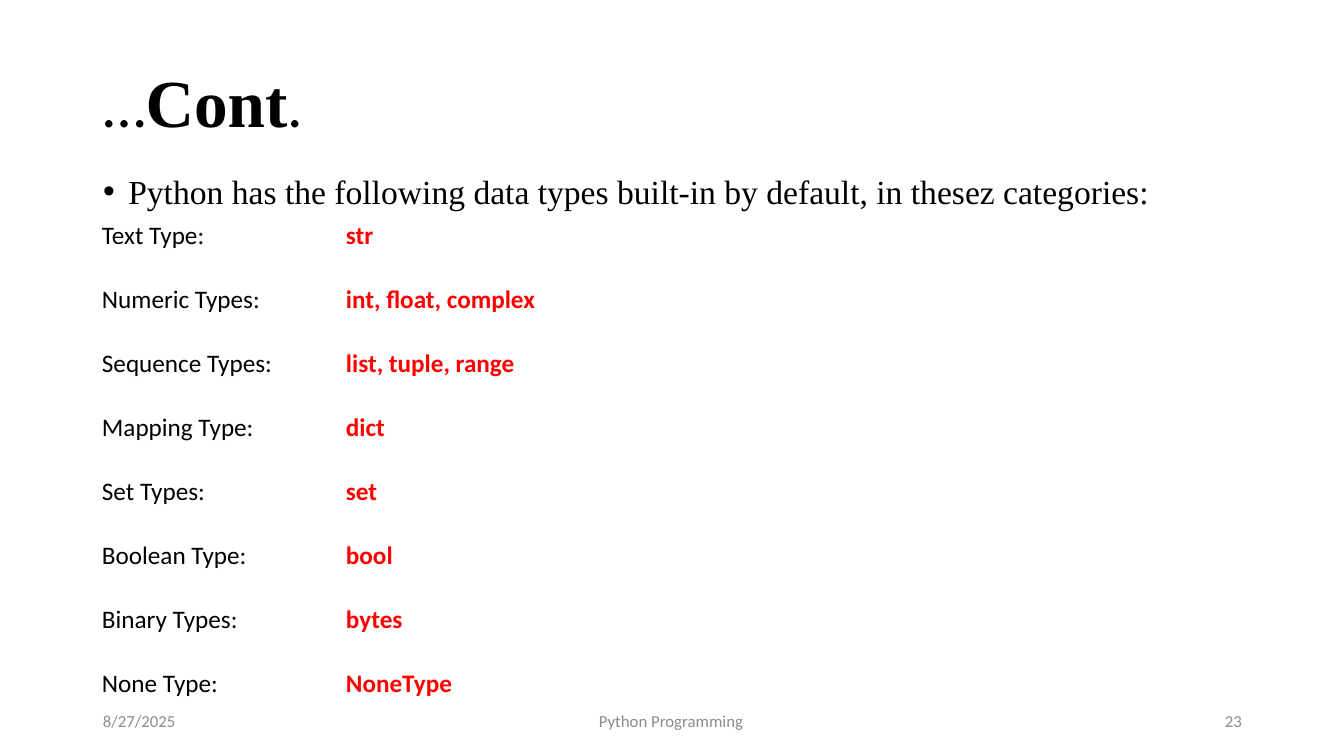
from dataclasses import dataclass

from lxml.etree import SubElement
from pptx import Presentation
from pptx.dml.color import RGBColor
from pptx.enum.text import MSO_ANCHOR as Anchor, MSO_AUTO_SIZE as AutoSize, PP_ALIGN as Align
from pptx.oxml.ns import qn
from pptx.util import Emu, Pt


@dataclass(frozen=True)
class Theme:
    sans: str = "Calibri"
    serif: str = "Times New Roman"
    ink: str = "000000"
    accent: str = "FF0000"
    muted: str = "8C8C8C"
    paper: str = "FFFFFF"
    title: int = 44
    title_strong: int = 48
    body: int = 24
    cell: int = 18
    footer: int = 12


LEFT, WIDTH = 93, 1159
FOOTER_TOP, FOOTER_HEIGHT = 701, 40
ROW_HEIGHT = 64

DATA_TYPES = [
    ("Text Type:", "str"),
    ("Numeric Types:", "int, float, complex"),
    ("Sequence Types:", "list, tuple, range"),
    ("Mapping Type:", "dict"),
    ("Set Types:", "set"),
    ("Boolean Type:", "bool"),
    ("Binary Types:", "bytes"),
    ("None Type:", "NoneType"),
]

FOOTERS = [
    (LEFT, 302, "8/27/2025", Align.LEFT),
    (446, 454, "Python Programming ", Align.CENTER),
    (950, 302, "23", Align.RIGHT),
]


def px(n):
    return Emu(round(n * 914400 / 100.8))


def add_run(p, text, *, size, font, color, bold=False):
    r = p.add_run()
    r.text = text
    r.font.size, r.font.name, r.font.bold = Pt(size), font, bold
    r.font.color.rgb = RGBColor.from_string(color)


class SlideBuilder:
    def __init__(self, slide, theme):
        self.slide, self.theme = slide, theme

    def frame(self, sp, box, anchor):
        """Place a shape and return its text frame, ready for text."""
        sp.left, sp.top, sp.width, sp.height = map(px, box)
        tf = sp.text_frame
        tf.word_wrap, tf.auto_size = True, AutoSize.NONE
        tf.vertical_anchor = anchor
        return tf

    def title(self, box, before, strong, after):
        t = self.theme
        p = self.frame(self.slide.shapes.title, box, Anchor.MIDDLE).paragraphs[0]
        p.alignment, p.line_spacing = Align.LEFT, 0.9
        add_run(p, before, size=t.title, font=t.sans, color=t.ink)
        add_run(p, strong, size=t.title_strong, font=t.serif, color=t.ink, bold=True)
        add_run(p, after, size=t.title, font=t.sans, color=t.ink)

    def bullet(self, box, text):
        t = self.theme
        p = self.frame(self.slide.placeholders[1], box, Anchor.TOP).paragraphs[0]
        p.alignment, p.line_spacing, p.space_before = Align.JUSTIFY, 1.5, Pt(10)
        add_run(p, text, size=t.body, font=t.serif, color=t.ink)
        props = p._p.get_or_add_pPr()
        props.set("marL", str(Pt(18)))
        props.set("indent", str(-Pt(18)))
        SubElement(props, qn("a:buFont"), typeface="Arial")
        SubElement(props, qn("a:buChar"), char="•")

    def table(self, left, top, col_widths, rows):
        t = self.theme
        height = ROW_HEIGHT * len(rows)
        table = self.slide.shapes.add_table(
            len(rows), len(col_widths), px(left), px(top),
            px(sum(col_widths)), px(height)).table
        table.first_row = table.horz_banding = False
        for column, width in zip(table.columns, col_widths):
            column.width = px(width)
        for row, (label, names) in zip(table.rows, rows):
            row.height = px(ROW_HEIGHT)
            self.cell(row.cells[0], label, inset=9, color=t.ink)
            self.cell(row.cells[1], names, inset=5, color=t.accent, bold=True)

    def cell(self, cell, text, *, inset, **style):
        t = self.theme
        cell.fill.solid()
        cell.fill.fore_color.rgb = RGBColor.from_string(t.paper)
        cell.margin_left = px(inset)
        cell.margin_top = cell.margin_right = cell.margin_bottom = px(5)
        add_run(cell.text_frame.paragraphs[0], text, size=t.cell, font=t.sans, **style)

    def footer(self, left, width, text, align):
        t = self.theme
        box = left, FOOTER_TOP, width, FOOTER_HEIGHT
        sp = self.slide.shapes.add_textbox(*map(px, box))
        p = self.frame(sp, box, Anchor.MIDDLE).paragraphs[0]
        p.alignment = align
        add_run(p, text, size=t.footer, font=t.sans, color=t.muted)


def main():
    prs = Presentation()
    prs.slide_width, prs.slide_height = px(1344), px(756)
    builder = SlideBuilder(prs.slides.add_slide(prs.slide_layouts[1]), Theme())
    builder.title((LEFT, 40, WIDTH, 132), "…", "Cont", ".")
    builder.bullet(
        (LEFT, 146, WIDTH, 534),
        "Python has the following data types built-in by default, in thesez categories:")
    builder.table(LEFT, 216, (248, 939), DATA_TYPES)
    for footer in FOOTERS:
        builder.footer(*footer)
    prs.save("out.pptx")


if __name__ == "__main__":
    main()
